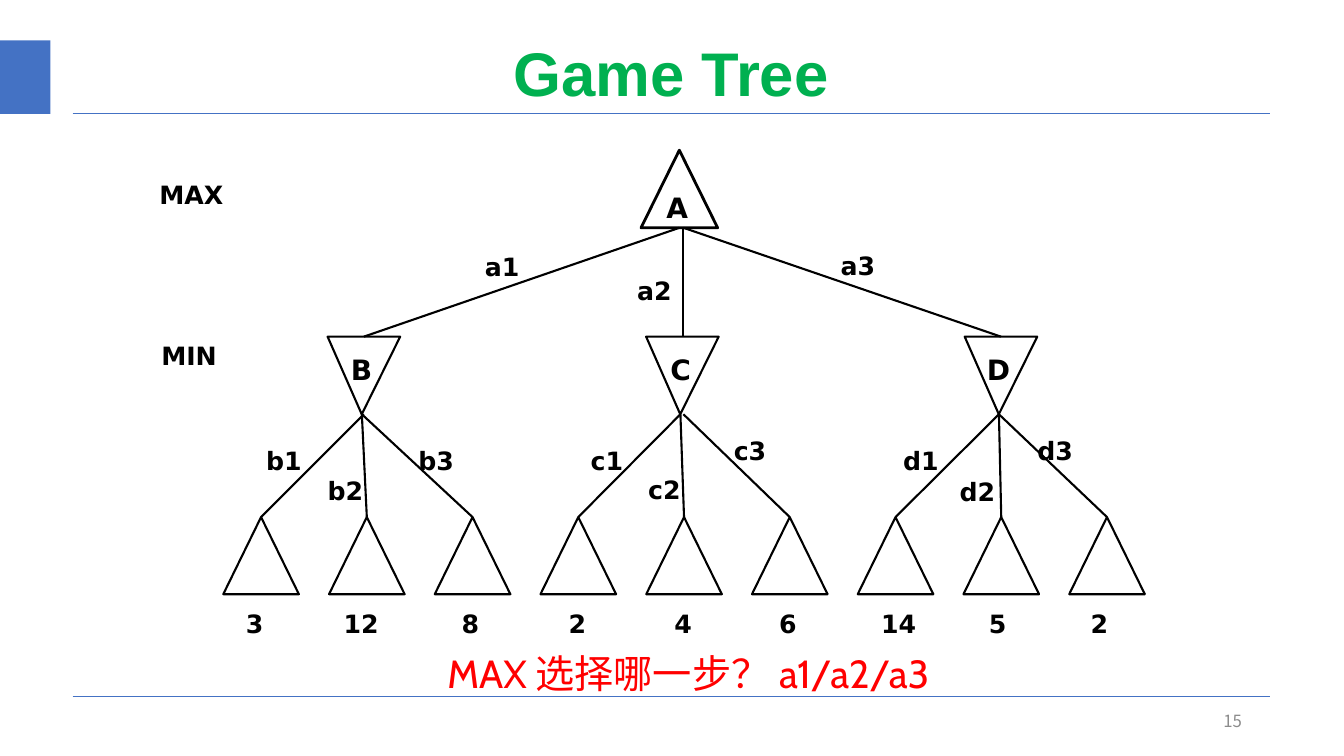
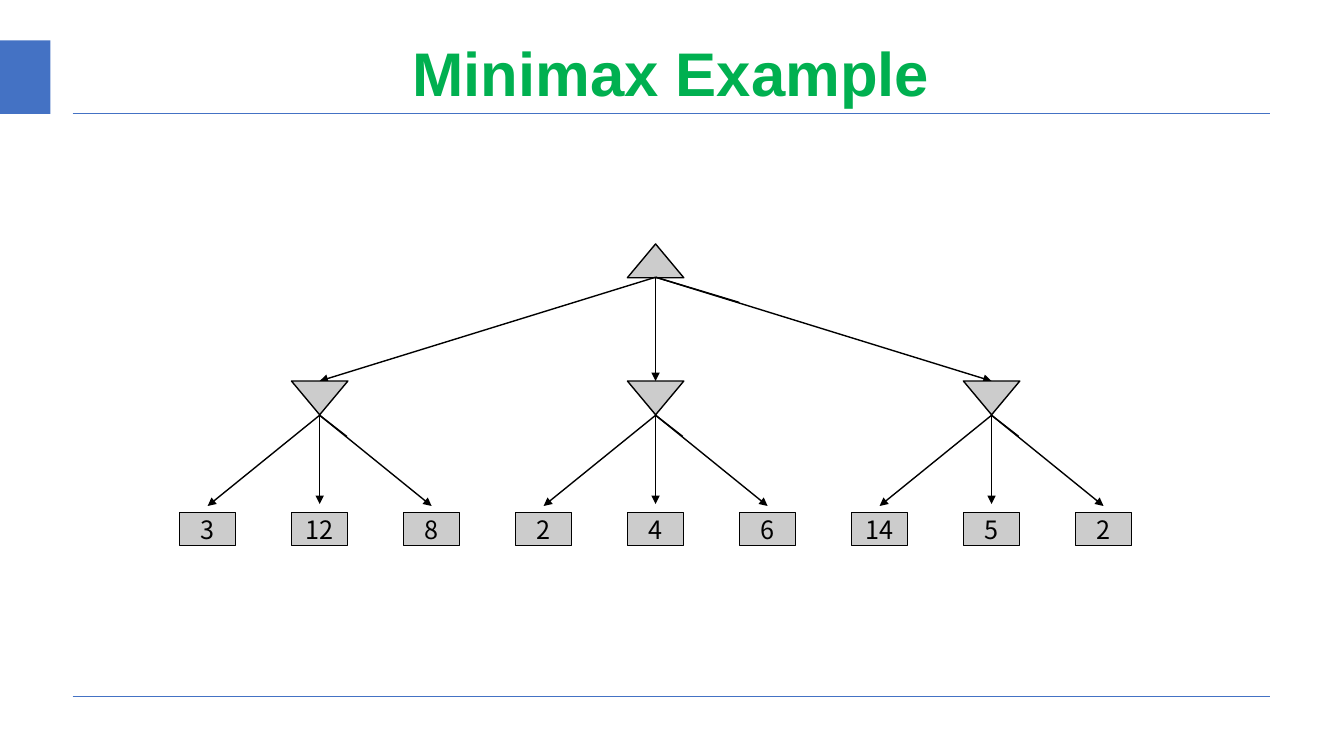
from lxml.etree import SubElement
from pptx import Presentation
from pptx.dml.color import RGBColor
from pptx.enum.shapes import MSO_CONNECTOR, MSO_SHAPE
from pptx.enum.text import MSO_ANCHOR, PP_ALIGN
from pptx.oxml.ns import qn
from pptx.util import Inches, Pt

BLUE = RGBColor(0x44, 0x72, 0xC4)
GREEN = RGBColor(0x00, 0xB0, 0x50)
RED = RGBColor(0xFF, 0x00, 0x00)
GREY = RGBColor(0x8C, 0x8C, 0x8C)
SILVER = RGBColor(0xCC, 0xCC, 0xCC)
BLACK = RGBColor(0x00, 0x00, 0x00)

# The slide is a grid of square cells, a tenth of an inch wide.
COLUMNS, ROWS = 133.33, 75
CELL = Inches(0.1)

CJK = "Noto Sans CJK SC"
TITLE = {"name": "Arial", "size": Pt(44), "bold": True}
NODE = {"name": "DejaVu Sans", "size": Pt(20), "bold": True}
LABEL = {**NODE, "size": Pt(18)}
NUMBER = {"name": CJK, "size": Pt(18)}
PAGE = {"name": CJK, "size": Pt(12)}
QUESTION = {"name": "Cabin", "size": Pt(28)}

NO_INSETS = dict.fromkeys(
    ("margin_left", "margin_top", "margin_right", "margin_bottom"), 0)
MIDDLE = {"vertical_anchor": MSO_ANCHOR.MIDDLE}
CENTERED = {"alignment": PP_ALIGN.CENTER}
LABEL_SPACING = {"line_spacing": 1.07, "space_after": Pt(8)}

LEAF_VALUES = (3, 12, 8, 2, 4, 6, 14, 5, 2)
BRANCHING = 3


def cells(*counts):
    return [round(count * CELL) for count in counts]


def set_formats(target, formats):
    for attribute, value in formats.items():
        setattr(target, attribute, value)


class Deck:
    """Holds the shared style and the slide being drawn."""

    def __init__(self):
        self.presentation = Presentation()
        width, height = cells(COLUMNS, ROWS)
        set_formats(self.presentation,
                    {"slide_width": width, "slide_height": height})
        self.slide = None

    def start(self, title):
        """Add a slide with the rules, the accent block and its title."""
        blank = self.presentation.slide_layouts[6]
        self.slide = self.presentation.slides.add_slide(blank)
        for row in (69.1, 11.25):
            self.line((7.2, row), (126, row), 0.5, BLUE)
        self.shape(MSO_SHAPE.RECTANGLE, (0, 4, 5, 7.3), BLUE)
        self.text([(title, TITLE)], (9.1, 3.3, 115, 8.5), GREEN, MIDDLE,
                  {**CENTERED, "line_spacing": 0.9})

    def set_text(self, frame, runs, color, frame_format, paragraph_format):
        set_formats(frame, {"word_wrap": True, **frame_format})
        paragraph = frame.paragraphs[0]
        set_formats(paragraph, paragraph_format)
        for words, font_format in runs:
            run = paragraph.add_run()
            run.text = words
            set_formats(run.font, font_format)
            run.font.color.rgb = color
            east_asian = SubElement(run.font._element, qn("a:ea"))
            east_asian.set("typeface", font_format["name"])

    def text(self, runs, box, color, frame_format, paragraph_format):
        frame = self.slide.shapes.add_textbox(*cells(*box)).text_frame
        self.set_text(frame, runs, color, frame_format, paragraph_format)

    def label(self, words, left, top, font_format=LABEL):
        self.text([(words, font_format)], (left, top, 9.9, 3.9), BLACK,
                  NO_INSETS, LABEL_SPACING)

    def shape(self, kind, box, fill=None, weight=None):
        shape = self.slide.shapes.add_shape(kind, *cells(*box))
        shape.shadow.inherit = False
        if fill is None:
            shape.fill.background()
        else:
            shape.fill.solid()
            shape.fill.fore_color.rgb = fill
        if weight is None:
            shape.line.fill.background()
        else:
            shape.line.color.rgb = BLACK
            shape.line.width = Pt(weight)
        return shape

    def triangle(self, box, weight, fill=None, down=False, apex=0.5):
        """Draw a player: MAX points up, MIN down; apex is a share of the width."""
        player = self.shape(MSO_SHAPE.ISOSCELES_TRIANGLE, box, fill, weight)
        player.adjustments[0] = 1 - apex if down else apex
        player.rotation = 180 if down else 0

    def value_box(self, value, box):
        leaf = self.shape(MSO_SHAPE.RECTANGLE, box, SILVER, 0.75)
        self.set_text(leaf.text_frame, [(str(value), NUMBER)], BLACK,
                      {**MIDDLE, "word_wrap": False}, CENTERED)

    def line(self, start, end, weight, color=BLACK, arrow=False):
        line = self.slide.shapes.add_connector(
            MSO_CONNECTOR.STRAIGHT, *cells(*start, *end))
        line.line.color.rgb = color
        line.line.width = Pt(weight)
        properties = line._element.spPr
        if arrow:
            outline = properties.find(qn("a:ln"))
            SubElement(outline, qn("a:tailEnd")).set("type", "triangle")
        SubElement(properties, qn("a:effectLst"))


def draw_game_tree(deck):
    deck.start("Game Tree")
    deck.text([("15", PAGE)], (94.2, 69.5, 30, 4), GREY, MIDDLE,
              {"alignment": PP_ALIGN.RIGHT})

    root_base, min_top, min_tip, leaf_top = 22.6, 33.4, 41.1, 51.3
    width, height, weight = 7.5, 7.65, 1.5
    deck.triangle((63.6, 14.9, 7.6, 7.7), 2)
    deck.label("A", 66.1, 18.7, NODE)

    moves = ((67.4, 36.1), (67.8, 67.8), (67.8, 99.3))
    for start, end in moves:
        deck.line((start, root_base), (end, min_top), weight)

    min_nodes = (("B", 34.8, (36.1, 35.9, 35.9)),
                 ("C", 66.5, (67.5, 67.5, 67.8)),
                 ("D", 97.9, (99.1, 99.1, 99.1)))
    for branch, (name, name_left, exits) in enumerate(min_nodes):
        deck.triangle((32.5 + 31.6 * branch, min_top, 7.2, 7.7), weight,
                      down=True, apex=0.47)
        deck.label(name, name_left, 34.7, NODE)
        for reply, exit_column in enumerate(exits):
            center = 25.9 + 10.49 * (branch * BRANCHING + reply)
            deck.triangle((center - width / 2, leaf_top, width, height), weight)
            deck.line((exit_column, min_tip), (center, leaf_top), weight)

    value_lefts = (24.4, 34.1, 45.8, 56.4, 66.9, 77.3, 87.4, 98.1, 108.2)
    for value, left in zip(LEAF_VALUES, value_lefts):
        deck.label(str(value), left, 60.1)

    labels = {
        "MAX": (15.8, 17.6), "MIN": (16, 33.6),
        "a1": (48.1, 24.7), "a2": (63.2, 27.1), "a3": (83.4, 24.6),
        "b1": (26.4, 44), "b2": (32.5, 46.9), "b3": (41.5, 44),
        "c1": (58.6, 44), "c2": (64.3, 46.8), "c3": (72.8, 43),
        "d1": (89.6, 44), "d2": (95.2, 47), "d3": (102.9, 43),
    }
    for words, position in labels.items():
        deck.label(words, *position)

    deck.text([("MAX ", QUESTION), ("选择哪一步？", {**QUESTION, "name": CJK}),
               (" a1/a2/a3", QUESTION)], (43.4, 63.9, 66.7, 5.7), RED, {}, {})


def draw_minimax(deck):
    deck.start("Minimax Example")
    width, height, gap = 5.6, 3.35, 11.11
    centers = [20.6 + gap * leaf for leaf in range(len(LEAF_VALUES))]
    root = (centers[4], 27.5)
    min_top, min_tip, leaf_top = 37.8, 41.2, 50.8

    def box(center, top):
        return center - width / 2, top, width, height

    def fan(start, ends, stubs):
        """Draw arrows to the children and the short strokes over them."""
        for end in ends:
            deck.line(start, end, 1, arrow=True)
        for across, below in stubs:
            deck.line(start, (start[0] + across, start[1] + below), 1)

    deck.triangle(box(root[0], 24.2), 1, SILVER)
    min_centers = centers[1::BRANCHING]
    fan(root, [(center, min_top) for center in min_centers],
        ((0, 3.3), (8.3, 2.5)))
    for center in min_centers:
        deck.triangle(box(center, min_top), 1, SILVER, down=True)
        fan((center, min_tip),
            ((center - gap, 50.2), (center, 50), (center + gap, 50.2)),
            ((0, 3.3), (2.7, 2.1)))
    for value, center in zip(LEAF_VALUES, centers):
        deck.value_box(value, box(center, leaf_top))


def main():
    deck = Deck()
    draw_game_tree(deck)
    draw_minimax(deck)
    deck.presentation.save("out.pptx")


if __name__ == "__main__":
    main()
